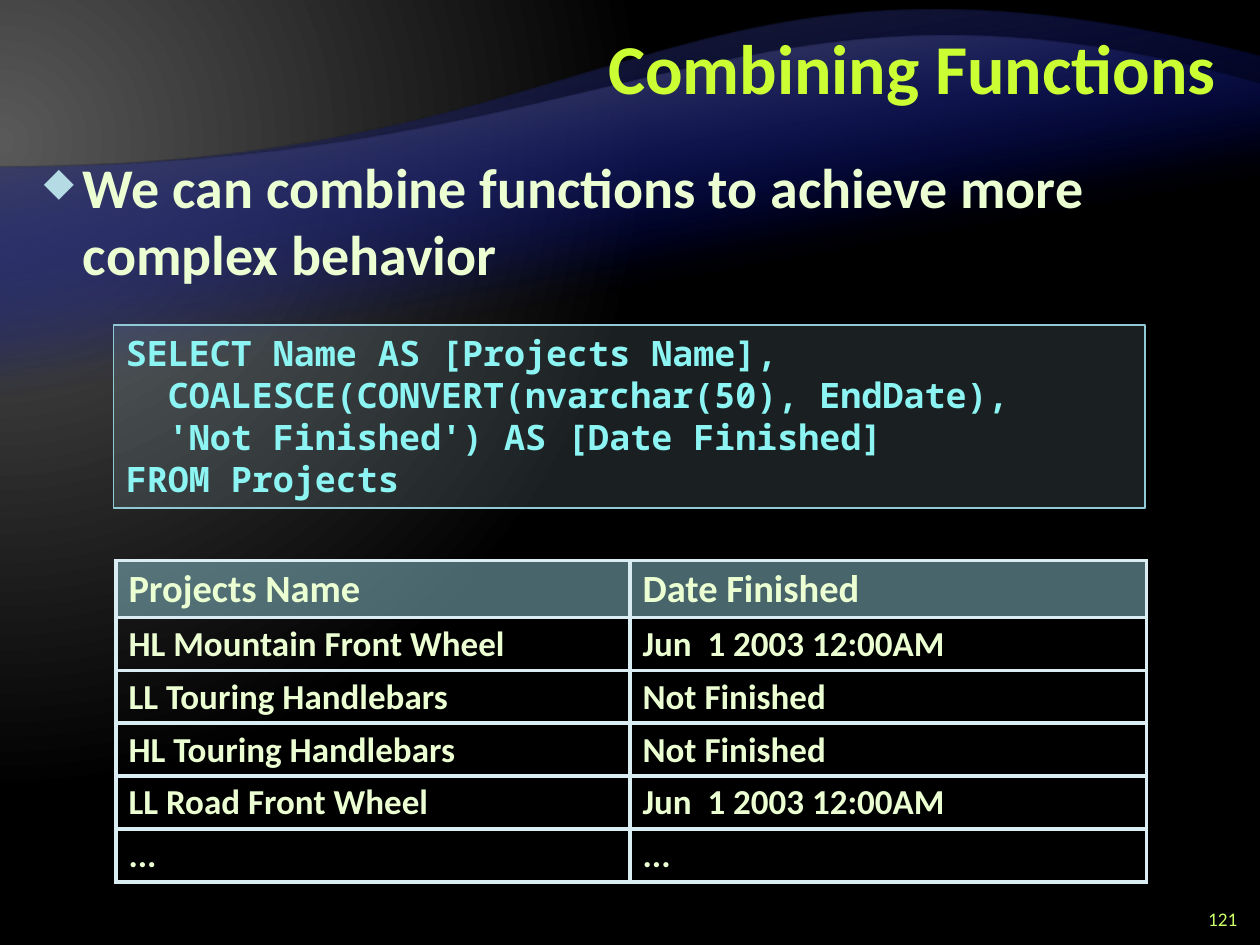
from dataclasses import dataclass

from lxml import etree
from pptx import Presentation
from pptx.dml.color import RGBColor
from pptx.enum import shapes, text
from pptx.oxml import parse_xml
from pptx.oxml.ns import nsdecls, qn
from pptx.util import Inches, Pt

INK = {
    "title": "CCFF33", "body": "EBFFD2", "number": "CCFF66", "code": "8CF4F2",
    "bullet": "B5DBE5", "panel": "B5DBE5", "edge": "90CAD7", "head": "90CAD7",
    "grid": "DAEDF2", "blue": "000D9E", "dark": "262626", "grey": "595959",
    "black": "000000",
}
SANS, MONO = "Calibri", "Noto Sans Mono"


@dataclass
class Wave:
    top: float
    base: float
    bend: tuple
    end: str


@dataclass
class Stop:
    at: int
    ink: str
    alpha: int = 100


WAVES = [
    Wave(0.45, 6.53, ((5, 1.33), (5.34, -0.75)), "dark"),
    Wave(0.67, 5.57, ((5, 1.33), (5.98, -0.49)), "grey"),
]
CODE = [
    "SELECT Name AS [Projects Name],",
    "  COALESCE(CONVERT(nvarchar(50), EndDate),",
    "  'Not Finished') AS [Date Finished]",
    "FROM Projects",
]
ROWS = [
    ("Projects Name", "Date Finished"),
    ("HL Mountain Front Wheel", "Jun  1 2003 12:00AM"),
    ("LL Touring Handlebars", "Not Finished"),
    ("HL Touring Handlebars", "Not Finished"),
    ("LL Road Front Wheel", "Jun  1 2003 12:00AM"),
    ("...", "..."),
]


def rgb(ink: str) -> RGBColor:
    return RGBColor.from_string(INK[ink])


def style(par, size: float, ink: str, face: str = SANS, bold: bool = True) -> None:
    font = par.font
    font.size, font.name, font.bold = Pt(size), face, bold
    font.color.rgb = rgb(ink)


def tint(fill, ink: str, root, alpha: int) -> None:
    """Fill with a see-through colour; root holds the solidFill."""
    fill.solid()
    fill.fore_color.rgb = rgb(ink)
    color = root.find(qn("a:solidFill"))[0]
    etree.SubElement(color, qn("a:alpha")).set("val", str(alpha * 1000))


def blend(fill, root, stops: list, shade: str) -> None:
    """Put a gradient with the given shading where root has its fill."""
    fill.solid()
    marks = "".join(
        f'<a:gs pos="{s.at * 1000}"><a:srgbClr val="{INK[s.ink]}">'
        f'<a:alpha val="{s.alpha * 1000}"/></a:srgbClr></a:gs>' for s in stops)
    grad = parse_xml(f'<a:gradFill {nsdecls("a")} rotWithShape="1">'
                     f"<a:gsLst>{marks}</a:gsLst>{shade}</a:gradFill>")
    root.replace(root.find(qn("a:solidFill")), grad)


def draw_back(slide) -> None:
    back = slide.background
    back.fill.solid()
    root = next(slide._element.iter(qn("p:bgPr")))
    blend(back.fill, root, [Stop(0, "grey"), Stop(83, "black")],
          '<a:path path="circle"><a:fillToRect l="20000" t="30000" '
          'r="135000" b="100000"/></a:path>')


def draw_wave(slide, wave: Wave, depth: int) -> None:
    pen = slide.shapes.build_freeform(0, Inches(1.33))
    pen.add_line_segments([(Inches(x), Inches(y)) for x, y in
                           ((10, wave.top), (10, wave.base), (0, wave.base))])
    shape = pen.convert_to_shape()
    shape.shadow.inherit = False
    shape.line.fill.background()
    root = shape._element.spPr
    edge = next(root.iter(qn("a:lnTo")))
    edge.tag = qn("a:cubicBezTo")
    for i, (x, y) in enumerate(wave.bend):
        dot = etree.Element(qn("a:pt"), x=str(Inches(x)),
                            y=str(Inches(y - wave.top)))
        edge.insert(i, dot)
    blend(shape.fill, root, [Stop(65, "blue", 0), Stop(100, wave.end)],
          f'<a:lin ang="{260 * 60000}" scaled="0"/>')
    slide.shapes._spTree.insert(2 + depth, shape._element)


def add_box(slide, x: float, y: float, w: float, h: float, words: str):
    box = slide.shapes.add_textbox(Inches(x), Inches(y), Inches(w), Inches(h))
    box.text_frame.word_wrap = True
    box.text_frame.text = words
    return box.text_frame


def draw_title(slide) -> None:
    head = slide.shapes.title
    head.left, head.top = Inches(2), Inches(0.08)
    head.width, head.height = Inches(7.75), Inches(1)
    frame = head.text_frame
    frame.text = "Combining Functions"
    frame.vertical_anchor = text.MSO_ANCHOR.MIDDLE
    par = frame.paragraphs[0]
    par.alignment, par.line_spacing = text.PP_ALIGN.RIGHT, Pt(40)
    style(par, 40, "title")


def draw_body(slide) -> None:
    frame = add_box(slide, 0.25, 1.17, 9.5, 6.17,
                    "We can combine functions to achieve more complex behavior")
    par = frame.paragraphs[0]
    par.line_spacing, par.space_after = Pt(38), Pt(6)
    props = par._p.get_or_add_pPr()
    props.set("marL", str(Inches(0.31)))
    props.set("indent", str(-Inches(0.31)))
    for mark in (f'buClr {nsdecls("a")}><a:srgbClr val="{INK["bullet"]}"/></a:buClr',
                 f'buSzPct {nsdecls("a")} val="70000"/',
                 f'buChar {nsdecls("a")} char="◆"/'):
        props.append(parse_xml(f"<a:{mark}>"))
    style(par, 32, "body")


def draw_number(slide) -> None:
    frame = add_box(slide, 9.42, 7.17, 0.5, 0.25, "121")
    frame.vertical_anchor = text.MSO_ANCHOR.MIDDLE
    par = frame.paragraphs[0]
    par.alignment = text.PP_ALIGN.RIGHT
    style(par, 11, "number", bold=False)


def draw_code(slide) -> None:
    panel = slide.shapes.add_shape(shapes.MSO_SHAPE.RECTANGLE, Inches(0.9),
                                   Inches(2.58), Inches(8.19), Inches(1.45))
    panel.shadow.inherit = False
    tint(panel.fill, "panel", panel._element.spPr, 15)
    panel.line.color.rgb, panel.line.width = rgb("edge"), Pt(1)
    frame = panel.text_frame
    frame.word_wrap = True
    frame.vertical_anchor = text.MSO_ANCHOR.TOP
    frame.text = "\n".join(CODE)
    for par in frame.paragraphs:
        par.alignment = text.PP_ALIGN.LEFT
        style(par, 20, "code", MONO)


def rule_cell(props) -> None:
    """Draw all four borders of a cell."""
    for i, side in enumerate("LRTB"):
        props.insert(i, parse_xml(
            f'<a:ln{side} {nsdecls("a")} w="{Pt(2.25)}"><a:solidFill>'
            f'<a:srgbClr val="{INK["grid"]}"/></a:solidFill></a:ln{side}>'))


def draw_table(slide) -> None:
    grid = slide.shapes.add_table(len(ROWS), 2, Inches(0.92), Inches(4.45),
                                  Inches(8.18), Inches(2.53)).table
    grid.first_row = grid.horz_banding = False
    for col, wide in zip(grid.columns, (4.08, 4.1)):
        col.width = Inches(wide)
    for r, row in enumerate(ROWS):
        grid.rows[r].height = Inches(0.42 if r else 0.45)
        for c, words in enumerate(row):
            cell = grid.cell(r, c)
            cell.text = words
            par = cell.text_frame.paragraphs[0]
            par.line_spacing = 0.95
            style(par, 20 if r else 22, "body")
            props = cell._tc.get_or_add_tcPr()
            if r:
                cell.fill.background()
            else:
                tint(cell.fill, "head", props, 50)
            rule_cell(props)


def main() -> None:
    deck = Presentation()
    deck.slide_width, deck.slide_height = Inches(10), Inches(7.5)
    slide = deck.slides.add_slide(deck.slide_layouts[5])
    draw_back(slide)
    for depth, wave in enumerate(WAVES):
        draw_wave(slide, wave, depth)
    for draw in (draw_title, draw_body, draw_number, draw_code, draw_table):
        draw(slide)
    deck.save("out.pptx")


if __name__ == "__main__":
    main()
